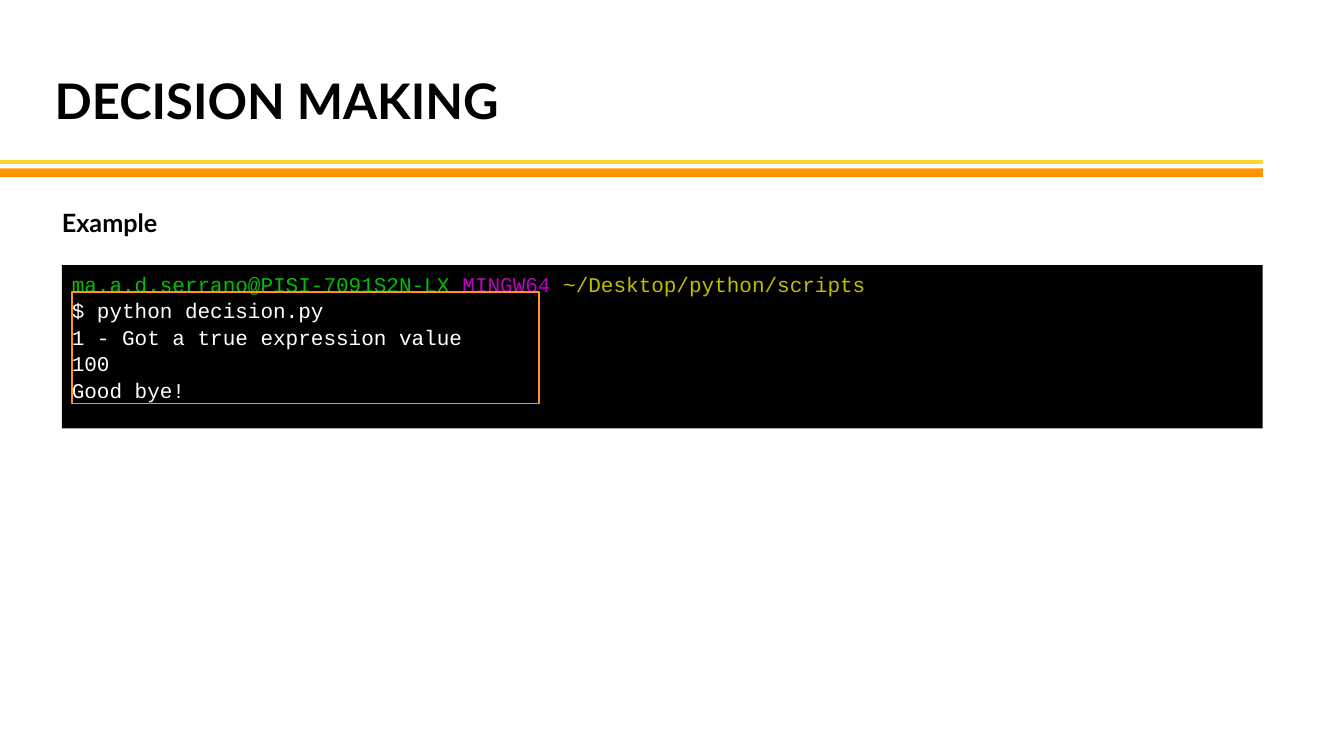
from dataclasses import dataclass

from lxml import etree
from pptx import Presentation
from pptx.dml.color import RGBColor
from pptx.enum.shapes import MSO_CONNECTOR, MSO_SHAPE
from pptx.enum.text import MSO_ANCHOR, PP_ALIGN
from pptx.oxml.ns import qn
from pptx.util import Pt

RECTANGLE = MSO_SHAPE.RECTANGLE
STRAIGHT = MSO_CONNECTOR.STRAIGHT
TOP = MSO_ANCHOR.TOP
LEFT = PP_ALIGN.LEFT


@dataclass(frozen=True)
class Theme:
    text_font: str = "Lato"
    code_font: str = "Courier New"
    title_size: float = 35
    heading_size: float = 18
    code_size: float = 15
    ink: str = "000000"
    yellow: str = "FFD42E"
    orange: str = "FF9500"
    frame: str = "FF9128"
    user: str = "00BF00"
    system: str = "BF00BF"
    folder: str = "BFBF00"
    output: str = "FFFFFF"


theme = Theme()


def add_run(paragraph, text, font, size, color, bold=False):
    run = paragraph.add_run()
    run.text = text
    run.font.name = font
    run.font.size = Pt(size)
    run.font.bold = bold
    run.font.color.rgb = RGBColor.from_string(color)


def add_rectangle(left, top, width, height, fill=None):
    """Add a flat rectangle without outline, filled only if a colour is given."""
    rectangle = slide.shapes.add_shape(
        RECTANGLE, Pt(left), Pt(top), Pt(width), Pt(height))
    rectangle.shadow.inherit = False
    rectangle.line.fill.background()
    if fill:
        rectangle.fill.solid()
        rectangle.fill.fore_color.rgb = RGBColor.from_string(fill)
    else:
        rectangle.fill.background()
    return rectangle


presentation = Presentation()
presentation.slide_width = Pt(960)
presentation.slide_height = Pt(540)
slide = presentation.slides.add_slide(presentation.slide_layouts[6])

# Double rule under the title
right_edge = 902
thin_rule = slide.shapes.add_connector(
    STRAIGHT, Pt(0), Pt(115.8), Pt(right_edge), Pt(115.8))
thin_rule.line.color.rgb = RGBColor.from_string(theme.yellow)
thin_rule.line.width = Pt(3)
etree.SubElement(thin_rule.element.spPr, qn("a:effectLst"))
add_rectangle(0, 120.3, right_edge, 6, theme.orange)

# Title and heading
for text, size, left, top, width, height in (
    ("DECISION MAKING", theme.title_size, 39, 50.3, 567, 46),
    ("Example", theme.heading_size, 44.2, 148.3, 655, 25.2),
):
    label = slide.shapes.add_textbox(Pt(left), Pt(top), Pt(width), Pt(height))
    frame = label.text_frame
    frame.word_wrap = True
    frame.margin_left = frame.margin_top = frame.margin_right = 0
    frame.margin_bottom = Pt(3.6)
    add_run(frame.paragraphs[0], text, theme.text_font, size, theme.ink, bold=True)

# Terminal session
session = (
    (("ma.a.d.serrano@PISI-7091S2N-LX ", theme.user),
     ("MINGW64 ", theme.system),
     ("~/Desktop/python/scripts", theme.folder)),
    (("$ python decision.py", theme.output),),
    (("1 - Got a true expression value", theme.output),),
    (("100", theme.output),),
    (("Good bye!", theme.output),),
)
terminal_left = 44.2
terminal = add_rectangle(
    terminal_left, 189.4, right_edge - terminal_left, 116.6, theme.ink)
screen = terminal.text_frame
screen.word_wrap = True
screen.vertical_anchor = TOP
for number, pieces in enumerate(session):
    line = screen.add_paragraph() if number else screen.paragraphs[0]
    line.alignment = LEFT
    line.line_spacing = 1.05
    for text, color in pieces:
        add_run(line, text, theme.code_font, theme.code_size, color)

# Frame around the program output
highlight = add_rectangle(51.4, 208.7, 333.6, 79.4)
highlight.line.color.rgb = RGBColor.from_string(theme.frame)
highlight.line.width = Pt(1)

presentation.save("out.pptx")
